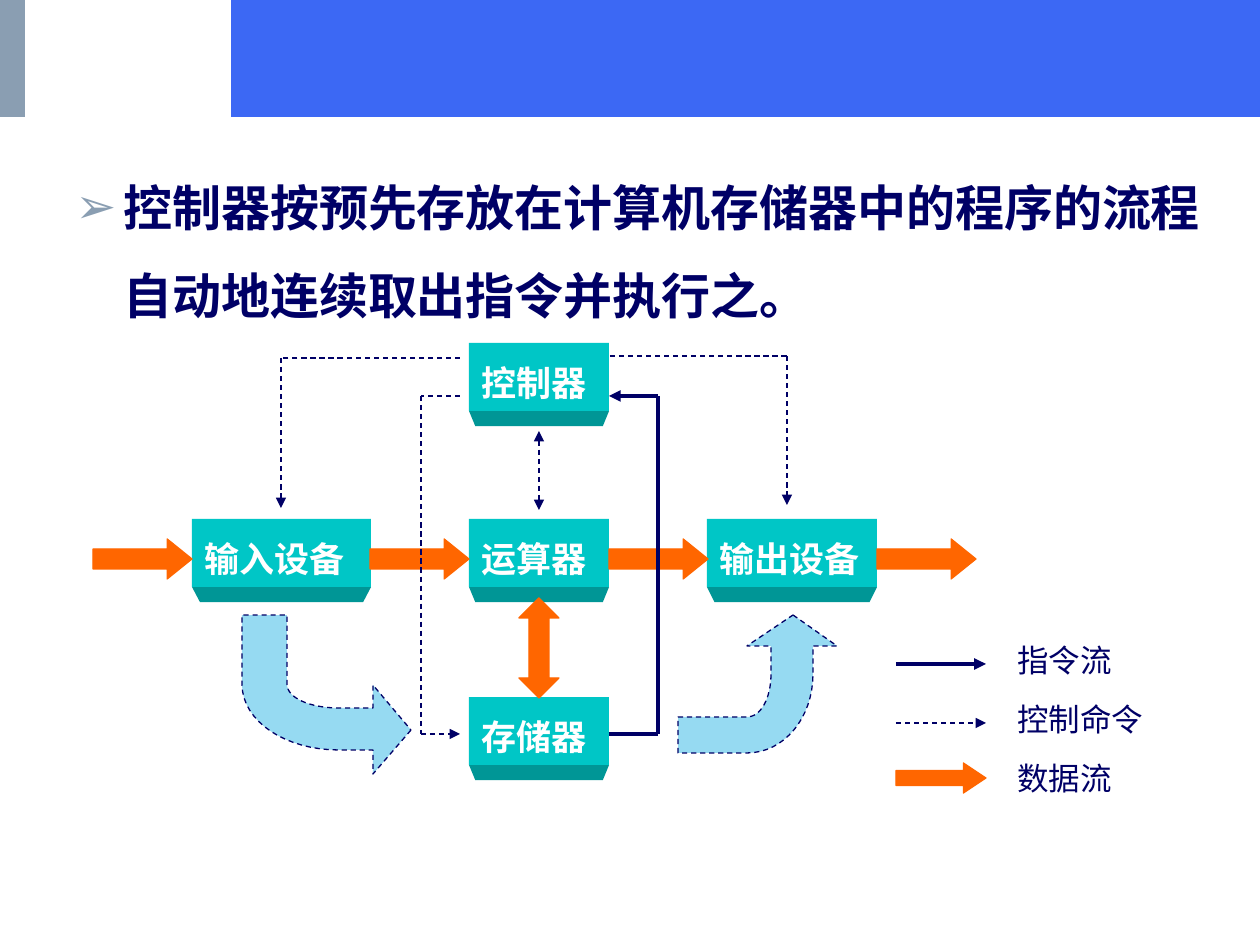
import itertools
import lxml.etree
import pptx
import pptx.dml.color
import pptx.enum.dml
import pptx.enum.shapes
import pptx.enum.text
import pptx.oxml.ns
import pptx.util

SCALE = 914400 / 126
FONT = "Noto Sans CJK SC"
HEX = {
    "blue": "3C68F4", "gray": "8A9EB2", "navy": "000066", "white": "FFFFFF",
    "face": "00C6C6", "edge": "009696", "data": "FF6600", "sky": "96DAF2",
}
KIND = pptx.enum.shapes.MSO_SHAPE
DASH = pptx.enum.dml.MSO_LINE.DASH
MIDDLE = pptx.enum.text.MSO_ANCHOR.MIDDLE
LEFT = pptx.enum.text.PP_ALIGN.LEFT


def px(num):
    return round(num * SCALE)


def rgb(name):
    return pptx.dml.color.RGBColor.from_string(HEX[name])


def add(parent, tag, **attrs):
    return lxml.etree.SubElement(parent, pptx.oxml.ns.qn(tag), **attrs)


def paint(shape, fill, line=None, dash=False):
    shape.shadow.inherit = False
    shape.fill.solid()
    shape.fill.fore_color.rgb = rgb(fill)
    if line is None:
        shape.line.fill.background()
        return
    shape.line.color.rgb = rgb(line)
    shape.line.width = pptx.util.Pt(0.75)
    if dash:
        shape.line.dash_style = DASH


def block(slide, kind, box, fill, line=None, adjust=()):
    shape = slide.shapes.add_shape(kind, *map(px, box))
    for i, value in enumerate(adjust):
        shape.adjustments[i] = value
    paint(shape, fill, line)
    return shape


def write(shape, text, size, color, bold=False, font="Arial"):
    frame = shape.text_frame
    frame.word_wrap = True
    frame.text = text
    para = frame.paragraphs[0]
    para.alignment = LEFT
    run = para.runs[0]
    run.font.size = pptx.util.Pt(size)
    run.font.bold = bold
    run.font.name = font
    run.font.color.rgb = rgb(color)
    add(run.font._element, "a:ea", typeface=FONT)
    return para


def route(slide, box, points, width=0.75, dash=True, head=False, tail=True):
    left, top = box[:2]
    spots = [(px(left + x), px(top + y)) for x, y in points]
    for start, end in itertools.pairwise(spots):
        line = slide.shapes.add_connector(
            pptx.enum.shapes.MSO_CONNECTOR.STRAIGHT, *start, *end)
        line.line.color.rgb = rgb("navy")
        line.line.width = pptx.util.Pt(width)
        if dash:
            line.line.dash_style = DASH
        ln = line.line._get_or_add_ln()
        if head:
            add(ln, "a:headEnd", type="triangle")
        if tail and end == spots[-1]:
            add(ln, "a:tailEnd", type="triangle")
        add(line._element.spPr, "a:effectLst")


def curve(a, b, c, d, steps=16):
    for i in range(steps + 1):
        t = i / steps
        s = 1 - t
        yield tuple(s**3 * p + 3 * s * s * t * q + 3 * s * t * t * r + t**3 * u
                    for p, q, r, u in zip(a, b, c, d))


def bend(slide, box, points):
    spots = [(px(box[0] + x), px(box[1] + y)) for x, y in points]
    form = slide.shapes.build_freeform(*spots[0], scale=1.0)
    form.add_line_segments(spots[1:], close=True)
    paint(form.convert_to_shape(), "sky", "navy", True)


def node(slide, box, text):
    left, top, width, high = box
    lip = 15
    inset = 0.044 * width
    base = block(slide, KIND.TRAPEZOID, (left, top + high, width, lip),
                 "edge", adjust=[inset / lip])
    base.rotation = 180
    face = block(slide, KIND.RECTANGLE, box, "face")
    face.text_frame.vertical_anchor = MIDDLE
    face.text_frame.margin_top = px(10)
    face.text_frame.margin_bottom = 0
    write(face, text, 20, "white", True)


def header(slide, box):
    left, top, width, high = box
    block(slide, KIND.RECTANGLE, (left + 231, top, width - 231, high), "blue")
    block(slide, KIND.RECTANGLE, (left, top, 25, high), "gray")


def body(slide, box):
    area = slide.shapes.add_textbox(*map(px, box))
    para = write(area, "控制器按预先存放在计算机存储器中的程序的流程自动地连续取出指令并执行之。",
                 28, "navy", True, FONT)
    para.line_spacing = pptx.util.Pt(50.3)
    props = para._p.get_or_add_pPr()
    props.set("marL", str(px(48)))
    props.set("indent", str(px(-48)))
    add(add(props, "a:buClr"), "a:srgbClr", val=HEX["gray"])
    add(props, "a:buFont", typeface="Arial")
    add(props, "a:buChar", char="➢")


def flow(slide, box):
    left, top = box[:2]
    for text, x, y, width in (("运算器", 377, 176, 140), ("输出设备", 615, 176, 170),
                              ("控制器", 377, 0, 140), ("输入设备", 100, 176, 179),
                              ("存储器", 377, 354, 140)):
        node(slide, (left + x, top + y, width, 68), text)
    for x in (278, 517, 785, 1):
        block(slide, KIND.RIGHT_ARROW, (left + x, top + 196, 99, 40),
              "data", "data", [0.5, 0.62])
    block(slide, KIND.UP_DOWN_ARROW, (left + 427, top + 255, 40, 100),
          "data", "data", [0.5, 0.5])
    route(slide, box, [(517, 391), (566, 391), (566, 53), (517, 53)], 2.25, False)
    route(slide, box, [(368, 15), (189, 15), (189, 165)])
    route(slide, box, [(447, 88), (447, 167)], head=True)
    route(slide, box, [(518, 13), (695, 13), (695, 162)])
    route(slide, box, [(368, 53), (329, 53), (329, 391), (368, 391)])
    bend(slide, box, [
        (319, 387), (281, 431), (281, 407),
        *curve((247, 407), (193, 407), (150, 378), (150, 341)),
        (150, 272), (195, 272),
        *curve((195, 341), (195, 355), (218, 365), (247, 365)),
        (281, 365), (281, 342)])
    bend(slide, box, [
        (701, 272), (745, 303), (721, 303),
        *curve((721, 331), (721, 375), (692, 410), (655, 410)),
        (586, 410), (586, 374),
        *curve((655, 374), (669, 374), (679, 355), (679, 331)),
        (679, 303), (655, 303)])


def legend(slide, box):
    left, top, width, high = box
    step = high // 3
    for i, text in enumerate(("指令流", "控制命令", "数据流")):
        y = top + i * step
        if i < 2:
            route(slide, (left, y), [(0, 29), (90, 29)], (2.25, 0.75)[i], i == 1)
        else:
            block(slide, KIND.RIGHT_ARROW, (left, y + 10, 90, 30),
                  "data", "data", [0.5, 0.75])
        label = slide.shapes.add_textbox(
            *map(px, (left + 109, y, width - 109, 50)))
        label.text_frame.vertical_anchor = MIDDLE
        write(label, text, 18, "navy")


def main():
    deck = pptx.Presentation()
    deck.slide_width = px(1260)
    deck.slide_height = px(945)
    slide = deck.slides.add_slide(deck.slide_layouts[6])
    header(slide, (0, 0, 1260, 117))
    body(slide, (63, 142, 1155, 683))
    flow(slide, (92, 343, 885, 437))
    legend(slide, (896, 635, 278, 177))
    deck.save("out.pptx")


if __name__ == "__main__":
    main()
